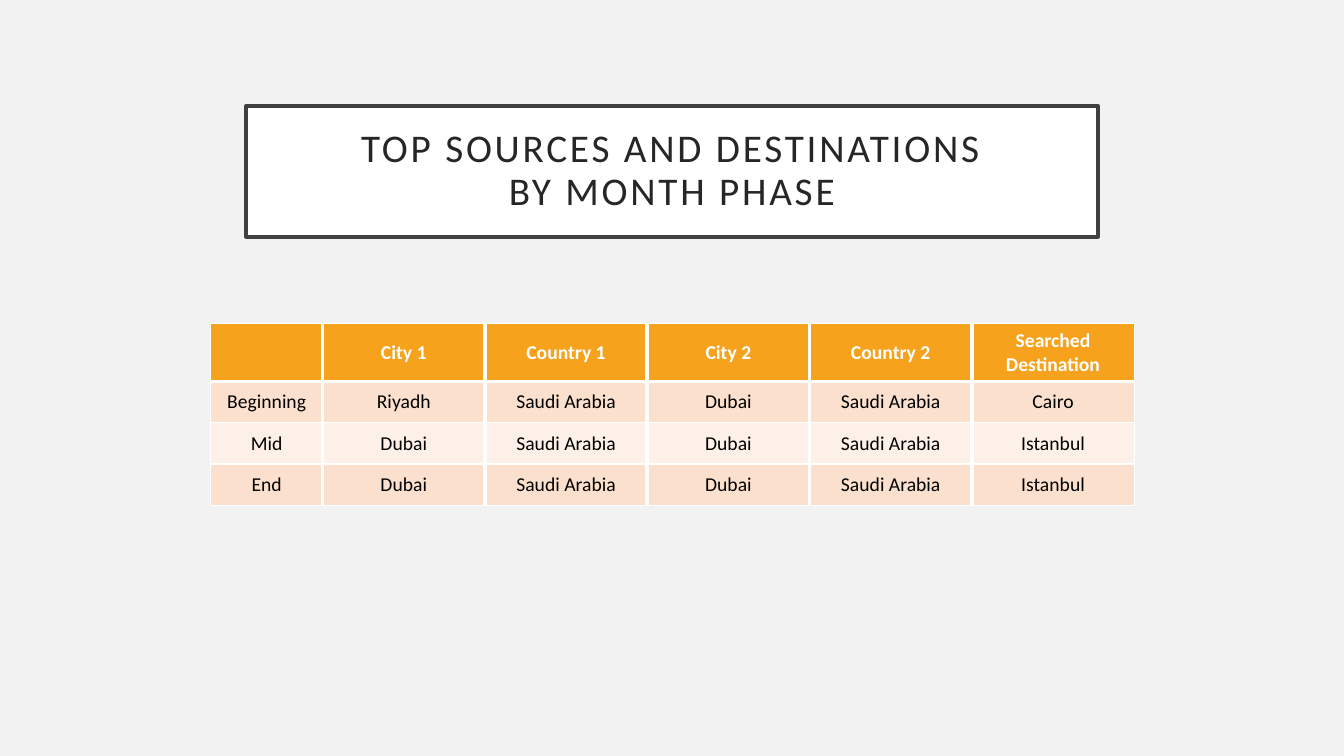
from lxml.etree import SubElement
from pptx import Presentation
from pptx.dml.color import RGBColor
from pptx.enum.shapes import MSO_SHAPE
from pptx.enum.text import MSO_ANCHOR, PP_ALIGN
from pptx.oxml.ns import qn
from pptx.util import Inches, Pt

TITLE = ["TOP SOURCES AND DESTINATIONS", "BY MONTH PHASE"]
ROWS = [
    ["", "City 1", "Country 1", "City 2", "Country 2", "Searched Destination"],
    ["Beginning", "Riyadh", "Saudi Arabia", "Dubai", "Saudi Arabia", "Cairo"],
    ["Mid", "Dubai", "Saudi Arabia", "Dubai", "Saudi Arabia", "Istanbul"],
    ["End", "Dubai", "Saudi Arabia", "Dubai", "Saudi Arabia", "Istanbul"],
]
COL_WIDTHS = [1.11] + [1.61] * 5
ROW_HEIGHTS = [0.57] + [0.41] * 3
COLORS = {
    "background": "F2F2F2", "white": "FFFFFF", "frame": "404040",
    "title": "262626", "header": "F6A21D", "body": "000000",
    "odd": "FBE0CD", "even": "FDF0E8",
}


def rgb(name):
    return RGBColor.from_string(COLORS[name])


def fill(target, name):
    target.fill.solid()
    target.fill.fore_color.rgb = rgb(name)


def add_run(p, text, size, color, bold=False):
    r = p.add_run()
    r.text = text
    r.font.name = "Calibri"
    r.font.size = Pt(size)
    r.font.bold = bold
    r.font.color.rgb = rgb(color)
    return r


def add_borders(cell, widths):
    tcPr = cell._tc.get_or_add_tcPr()
    for i, (side, width) in enumerate(widths.items()):
        ln = SubElement(tcPr, qn(f"a:{side}"), w=str(Pt(width)))
        solid = SubElement(ln, qn("a:solidFill"))
        SubElement(solid, qn("a:srgbClr"), val=COLORS["white"])
        tcPr.remove(ln)
        tcPr.insert(i, ln)


def add_title(s):
    sp = s.shapes.add_shape(MSO_SHAPE.RECTANGLE, Inches(2.44), Inches(1.05),
                            Inches(8.45), Inches(1.3))
    sp.shadow.inherit = False
    fill(sp, "white")
    sp.line.color.rgb = rgb("frame")
    sp.line.width = Pt(2.5)
    tf = sp.text_frame
    tf.word_wrap = True
    tf.vertical_anchor = MSO_ANCHOR.MIDDLE
    tf.margin_left = tf.margin_right = Inches(0.2)
    tf.margin_top = tf.margin_bottom = Inches(0.2)
    p = tf.paragraphs[0]
    p.alignment = PP_ALIGN.CENTER
    p.line_spacing = 0.9
    for i, text in enumerate(TITLE):
        if i:
            p.add_line_break()
        r = add_run(p, text, 28, "title")
        r.font._element.set("spc", "200")


def add_phase_table(s):
    table = s.shapes.add_table(
        len(ROWS), len(COL_WIDTHS), Inches(2.09), Inches(3.21),
        Inches(sum(COL_WIDTHS)), Inches(sum(ROW_HEIGHTS))).table
    for column, width in zip(table.columns, COL_WIDTHS):
        column.width = Inches(width)
    for row, height in zip(table.rows, ROW_HEIGHTS):
        row.height = Inches(height)
    last = len(COL_WIDTHS) - 1
    for i, row in enumerate(ROWS):
        header = i == 0
        band = "header" if header else "odd" if i % 2 else "even"
        for j, text in enumerate(row):
            cell = table.cell(i, j)
            fill(cell, band)
            cell.vertical_anchor = MSO_ANCHOR.MIDDLE
            add_borders(cell, {
                "lnL": 3 if j else 1, "lnR": 3 if j < last else 1,
                "lnT": 3 if i == 1 else 1, "lnB": 3 if header else 1})
            p = cell.text_frame.paragraphs[0]
            p.alignment = PP_ALIGN.CENTER
            if text:
                add_run(p, text, 14, "white" if header else "body", header)


def main():
    prs = Presentation()
    prs.slide_width, prs.slide_height = Inches(13.33), Inches(7.5)
    s = prs.slides.add_slide(prs.slide_layouts[6])
    fill(s.background, "background")
    add_title(s)
    add_phase_table(s)
    prs.save("out.pptx")


if __name__ == "__main__":
    main()
